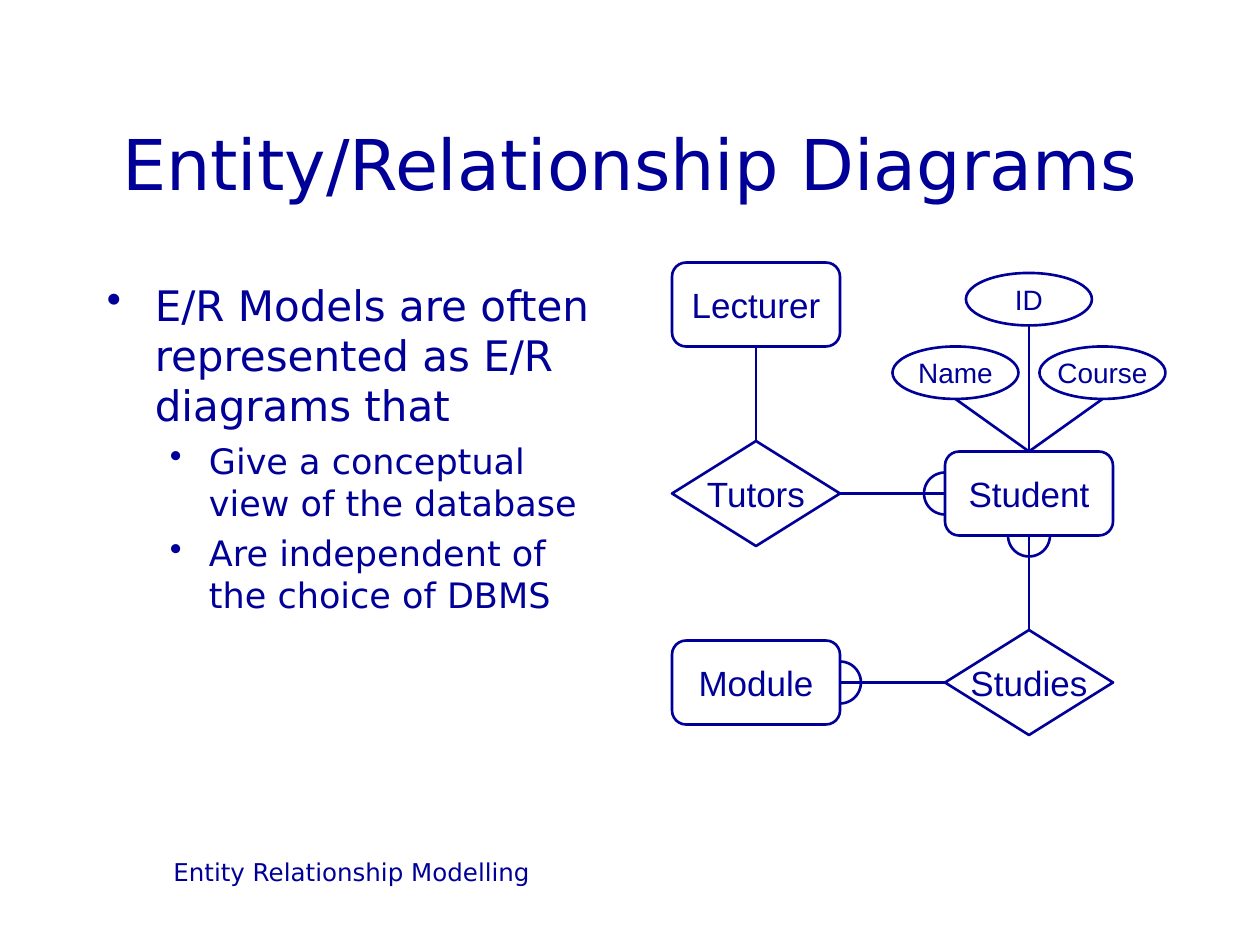
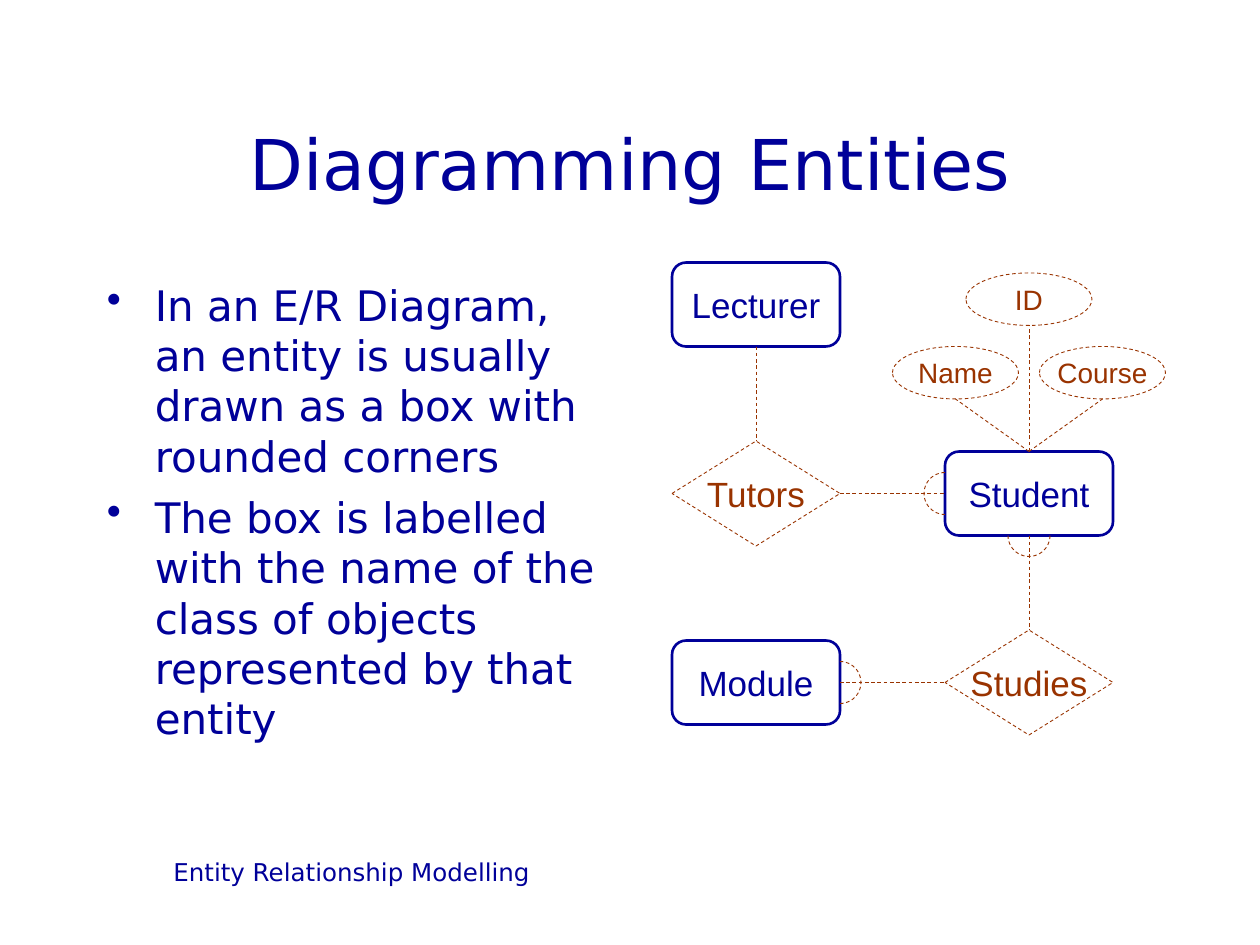
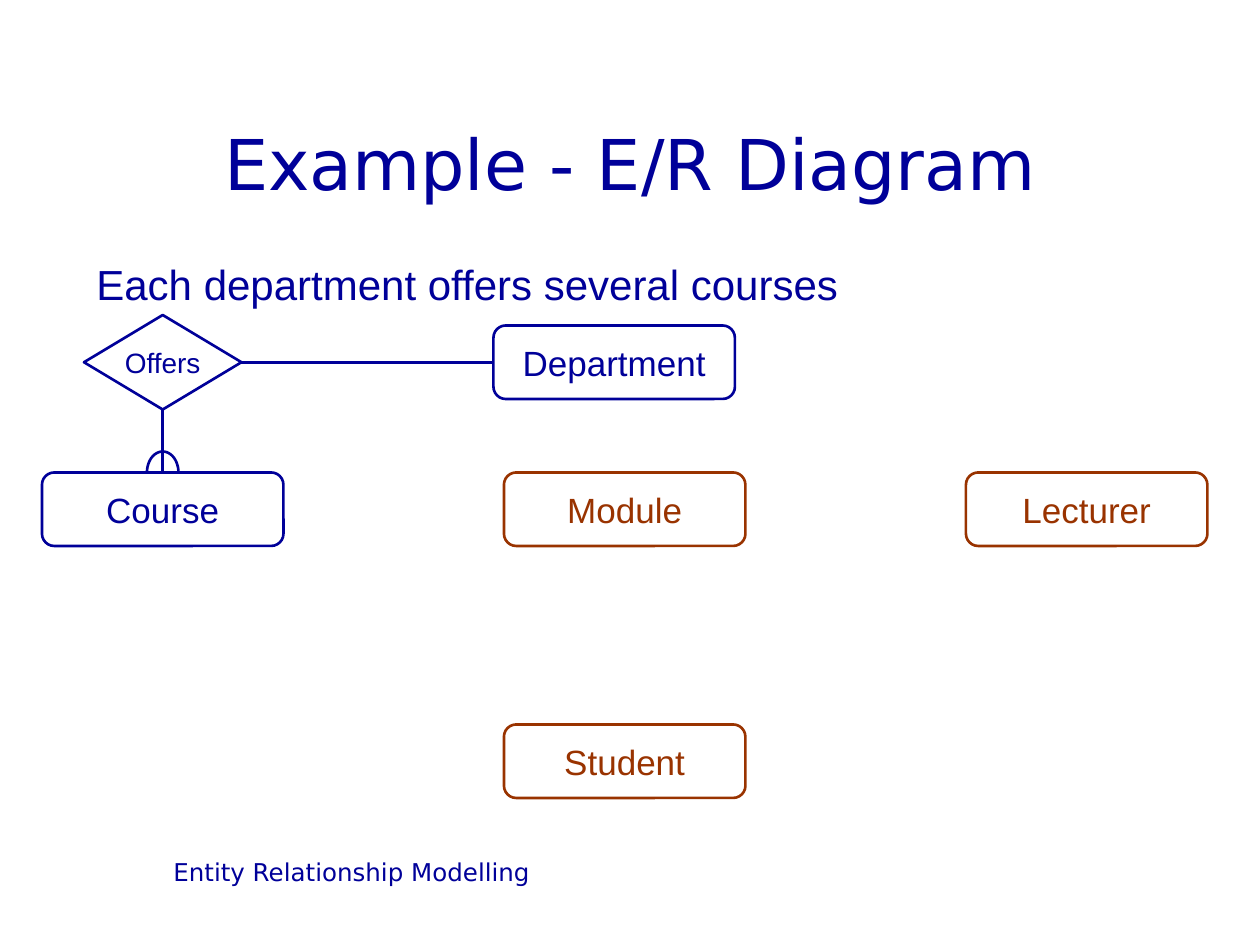
from math import cos, pi, sin

from lxml import etree
from pptx import Presentation
from pptx import util as u
from pptx.dml.color import RGBColor
from pptx.enum import dml, shapes, text
from pptx.oxml.ns import qn

# ---- Shared look ----
NAVY, BROWN = "000099", "993300"
HEADING_FONT, LABEL_FONT = "DejaVu Sans", "Arial"
FOOTER = "Entity Relationship Modelling"
COLUMNS, ROWS = 120, 90          # grid of the 10 x 7.5 inch slide
CELL = u.Inches(10) / COLUMNS

# Stroke styles: colour, width in points, dashed
STRONG = (NAVY, 1.5, False)
PENDING = (BROWN, 1.5, False)
FADED = (BROWN, 0.5, True)

# Areas in grid cells: column, row, columns wide, rows high
TITLE_AREA = (9, 8, 102, 15)
BODY_AREA = (9, 26, 50, 54)
FOOTER_AREA = (9, 81, 49, 6)
SENTENCE_AREA = (8, 24, 104, 6)

# Bullet levels: text size, space before, left indent and hanging in inches
LEVELS = [(24, 6, 0.38, 0.38), (20, 5, 0.81, 0.31)]

OUTLINES = {
    "entity": shapes.MSO_SHAPE.ROUNDED_RECTANGLE,
    "relation": shapes.MSO_SHAPE.DIAMOND,
    "attribute": shapes.MSO_SHAPE.OVAL,
}
SIDES = {"top": (0, -1), "bottom": (0, 1), "left": (-1, 0), "right": (1, 0)}

# ---- Content ----
# Nodes: label -> kind, column, row, columns wide, rows high, text size
# Links: node, side, node, side; "many" marks: node, side, half width
UNIVERSITY = {
    "nodes": {
        "Student": ("entity", 90, 43, 16, 8, 20),
        "Lecturer": ("entity", 64, 25, 16, 8, 20),
        "Module": ("entity", 64, 61, 16, 8, 20),
        "Tutors": ("relation", 64, 42, 16, 10, 20),
        "Studies": ("relation", 90, 60, 16, 10, 20),
        "ID": ("attribute", 92, 26, 12, 5, 16),
        "Course": ("attribute", 99, 33, 12, 5, 16),
        "Name": ("attribute", 85, 33, 12, 5, 16),
    },
    "links": [
        ("Lecturer", "bottom", "Tutors", "top"),
        ("Tutors", "right", "Student", "left"),
        ("Student", "bottom", "Studies", "top"),
        ("Module", "right", "Studies", "left"),
        ("Student", "top", "Course", "bottom"),
        ("Student", "top", "ID", "bottom"),
        ("Student", "top", "Name", "bottom"),
    ],
    "many": [("Module", "right", 2), ("Student", "left", 2), ("Student", "bottom", 2)],
}
DEPARTMENT = {
    "nodes": {
        "Module": ("entity", 48, 45, 23, 7, 20),
        "Course": ("entity", 4, 45, 23, 7, 20),
        "Department": ("entity", 47, 31, 23, 7, 20),
        "Student": ("entity", 48, 69, 23, 7, 20),
        "Lecturer": ("entity", 92, 45, 23, 7, 20),
        "Offers": ("relation", 8, 30, 15, 9, 16),
    },
    "links": [
        ("Department", "left", "Offers", "right"),
        ("Offers", "bottom", "Course", "top"),
    ],
    "many": [("Course", "top", 1.5)],
}
SLIDES = [
    {
        "title": "Entity/Relationship Diagrams",
        "bullets": [
            (0, "E/R Models are often represented as E/R diagrams that"),
            (1, "Give a conceptual view of the database"),
            (1, "Are independent of the choice of DBMS"),
        ],
        "diagram": UNIVERSITY, "strokes": {}, "other": STRONG,
    },
    {
        "title": "Diagramming Entities",
        "bullets": [
            (0, "In an E/R Diagram, an entity is usually drawn as a box "
                "with rounded corners"),
            (0, "The box is labelled with the name of the class of objects "
                "represented by that entity"),
        ],
        "diagram": UNIVERSITY,
        "strokes": dict.fromkeys(["Student", "Lecturer", "Module"], STRONG),
        "other": FADED,
    },
    {
        "title": "Example - E/R Diagram",
        "sentence": "Each department offers several courses",
        "diagram": DEPARTMENT,
        "strokes": dict.fromkeys(["Module", "Student", "Lecturer"], PENDING),
        "other": STRONG,
    },
]


# ---- Helpers ----
def colour(code):
    return RGBColor.from_string(code)


def cells(*counts):
    return [u.Emu(round(count * CELL)) for count in counts]


def style_text(paragraph, size, font, code):
    for run in paragraph.runs:
        run.font.size = u.Pt(size)
        run.font.name = font
        run.font.color.rgb = colour(code)


def style_line(line, stroke):
    code, width, dashed = stroke
    line.color.rgb = colour(code)
    line.width = u.Pt(width)
    if dashed:
        line.dash_style = dml.MSO_LINE.DASH


def add_text(slide, area, words, size, font, align=text.PP_ALIGN.LEFT,
             anchor=text.MSO_ANCHOR.TOP):
    frame = slide.shapes.add_textbox(*cells(*area)).text_frame
    frame.word_wrap = True
    frame.vertical_anchor = anchor
    frame.text = words
    for paragraph in frame.paragraphs:
        paragraph.alignment = align
        style_text(paragraph, size, font, NAVY)
    return frame


def add_bullets(slide, bullets):
    words = "\n".join(item for _, item in bullets)
    frame = add_text(slide, BODY_AREA, words, LEVELS[0][0], HEADING_FONT)
    for paragraph, (level, _) in zip(frame.paragraphs, bullets):
        size, before, indent, hanging = LEVELS[level]
        paragraph.level = level
        paragraph.space_before = u.Pt(before)
        style_text(paragraph, size, HEADING_FONT, NAVY)
        properties = paragraph._p.get_or_add_pPr()
        properties.set("marL", str(u.Inches(indent)))
        properties.set("indent", str(-u.Inches(hanging)))
        etree.SubElement(properties, qn("a:buChar")).set("char", "•")


# ---- Diagram parts ----
def side_point(node, side):
    """Middle of one side of a node, in grid cells."""
    _, column, row, width, height, _ = node
    dx, dy = SIDES[side]
    return column + width * (1 + dx) / 2, row + height * (1 + dy) / 2


def add_node(slide, label, node, stroke):
    kind, *area, size = node
    shape = slide.shapes.add_shape(OUTLINES[kind], *cells(*area))
    shape.shadow.inherit = False
    shape.fill.background()
    style_line(shape.line, stroke)
    frame = shape.text_frame
    frame.word_wrap = False
    frame.vertical_anchor = text.MSO_ANCHOR.MIDDLE
    frame.text = label
    frame.paragraphs[0].alignment = text.PP_ALIGN.CENTER
    style_text(frame.paragraphs[0], size, LABEL_FONT, stroke[0])


def add_link(slide, start, end, stroke):
    link = slide.shapes.add_connector(
        shapes.MSO_CONNECTOR.STRAIGHT, *cells(*start, *end))
    style_line(link.line, stroke)
    etree.SubElement(link._element.spPr, qn("a:effectLst"))


def add_many_mark(slide, centre, side, half_width, stroke, depth=2, steps=24):
    """Half ellipse that bulges out of one side of a node."""
    (x, y), (dx, dy) = centre, SIDES[side]
    points = []
    for step in range(steps + 1):
        angle = pi * step / steps
        out, along = depth * sin(angle), half_width * cos(angle)
        points.append(cells(x + dx * out + dy * along, y + dy * out + dx * along))
    builder = slide.shapes.build_freeform(*points[0])
    builder.add_line_segments(points[1:], close=False)
    mark = builder.convert_to_shape()
    mark.shadow.inherit = False
    mark.fill.background()
    style_line(mark.line, stroke)


def add_diagram(slide, diagram, strokes, other):
    nodes = diagram["nodes"]
    for label, node in nodes.items():
        add_node(slide, label, node, strokes.get(label, other))
    for first, first_side, second, second_side in diagram["links"]:
        add_link(slide, side_point(nodes[first], first_side),
                 side_point(nodes[second], second_side), other)
    for label, side, half_width in diagram["many"]:
        add_many_mark(slide, side_point(nodes[label], side), side, half_width, other)


# ---- Build ----
deck = Presentation()
deck.slide_width, deck.slide_height = cells(COLUMNS, ROWS)
for content in SLIDES:
    slide = deck.slides.add_slide(deck.slide_layouts[6])
    add_text(slide, FOOTER_AREA, FOOTER, 14, HEADING_FONT, text.PP_ALIGN.CENTER)
    add_text(slide, TITLE_AREA, content["title"], 40, HEADING_FONT,
             text.PP_ALIGN.CENTER, text.MSO_ANCHOR.MIDDLE)
    if "bullets" in content:
        add_bullets(slide, content["bullets"])
    add_diagram(slide, content["diagram"], content["strokes"], content["other"])
    if "sentence" in content:
        add_text(slide, SENTENCE_AREA, content["sentence"], 24, LABEL_FONT)
deck.save("out.pptx")
